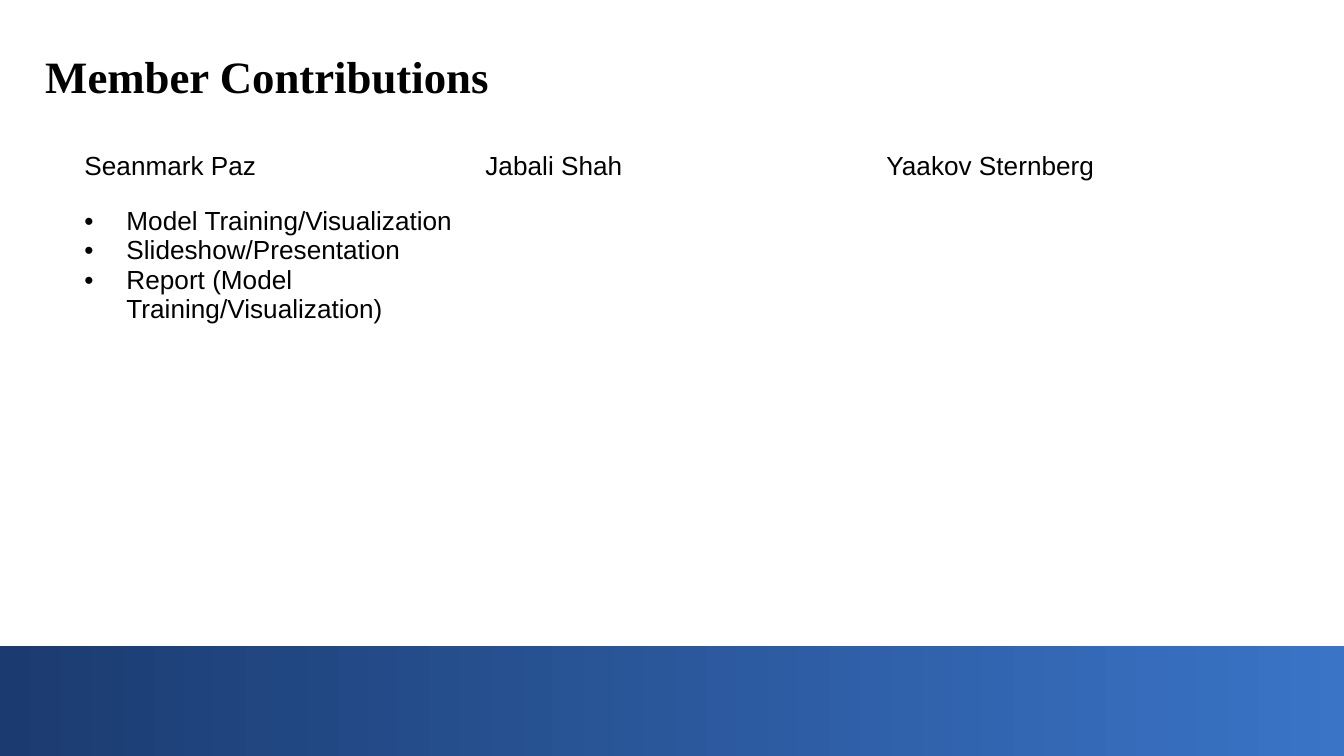
import pptx
import pptx.dml.color
import pptx.enum.shapes
import pptx.oxml.ns
import pptx.util
from lxml import etree

EMU_PER_PX = 914400 / 134.4


def px(length):
    return pptx.util.Emu(round(length * EMU_PER_PX))


def color(hex_code):
    return pptx.dml.color.RGBColor.from_string(hex_code)


class ContributionsSlide:
    INK = "000000"
    BAR_START, BAR_END = "1B3B70", "3A74C7"
    TITLE_FONT, BODY_FONT = "Times New Roman", "Arial"
    TITLE_SIZE, BODY_SIZE = 24, 14
    BULLET_INDENT = 42

    def __init__(self, deck):
        self.slide = deck.slides.add_slide(deck.slide_layouts[6])

    def format_runs(self, frame, font_name, size, bold=False):
        for paragraph in frame.paragraphs:
            for run in paragraph.runs:
                run.font.name = font_name
                run.font.size = pptx.util.Pt(size)
                run.font.bold = bold
                run.font.color.rgb = color(self.INK)

    def footer_bar(self, left, top, width, height):
        bar = self.slide.shapes.add_shape(
            pptx.enum.shapes.MSO_SHAPE.RECTANGLE,
            px(left), px(top), px(width), px(height))
        bar.shadow.inherit = False
        bar.line.fill.background()
        bar.fill.gradient()
        bar.fill.gradient_angle = 0
        for stop, shade in zip(bar.fill.gradient_stops, (self.BAR_START, self.BAR_END)):
            stop.color.rgb = color(shade)

    def title(self, text, left, top, width, height):
        heading = self.slide.shapes.add_textbox(px(left), px(top), px(width), px(height))
        frame = heading.text_frame
        frame.word_wrap = True
        frame.text = text
        self.format_runs(frame, self.TITLE_FONT, self.TITLE_SIZE, bold=True)

    def bullet(self, paragraph):
        properties = paragraph._p.get_or_add_pPr()
        indent = px(self.BULLET_INDENT)
        properties.set("marL", str(indent))
        properties.set("indent", str(-indent))
        qn = pptx.oxml.ns.qn
        bullet_color = etree.SubElement(properties, qn("a:buClr"))
        etree.SubElement(bullet_color, qn("a:srgbClr"), val=self.INK)
        etree.SubElement(properties, qn("a:buFont"), typeface=self.BODY_FONT)
        etree.SubElement(properties, qn("a:buChar"), char="•")

    def member_table(self, contributions, left, top, column_width, row_heights):
        """Lay out one column per member: name above, bulleted tasks below."""
        count = len(contributions)
        table = self.slide.shapes.add_table(
            len(row_heights), count, px(left), px(top),
            px(column_width * count), px(sum(row_heights))).table
        table.first_row = table.horz_banding = False
        for row, height in zip(table.rows, row_heights):
            row.height = px(height)
        for index, (member, tasks) in enumerate(contributions.items()):
            table.columns[index].width = px(column_width)
            name_cell, tasks_cell = table.cell(0, index), table.cell(1, index)
            name_cell.text_frame.text = member
            tasks_cell.text_frame.text = "\n".join(tasks)
            if tasks:
                for paragraph in tasks_cell.text_frame.paragraphs:
                    self.bullet(paragraph)
            for cell in (name_cell, tasks_cell):
                cell.fill.background()
                self.format_runs(cell.text_frame, self.BODY_FONT, self.BODY_SIZE)


def main():
    deck = pptx.Presentation()
    deck.slide_width, deck.slide_height = px(1344), px(756)

    page = ContributionsSlide(deck)
    page.footer_bar(-1, 646, 1352, 112)
    page.title("Member Contributions", 32, 42, 1156, 67)
    contributions = {
        "Seanmark Paz": [
            "Model Training/Visualization",
            "Slideshow/Presentation",
            "Report (Model Training/Visualization)",
        ],
        "Jabali Shah": [],
        "Yaakov Sternberg": [],
    }
    page.member_table(contributions, left=71, top=145, column_width=401,
                      row_heights=(55, 169))
    deck.save("out.pptx")


if __name__ == "__main__":
    main()
